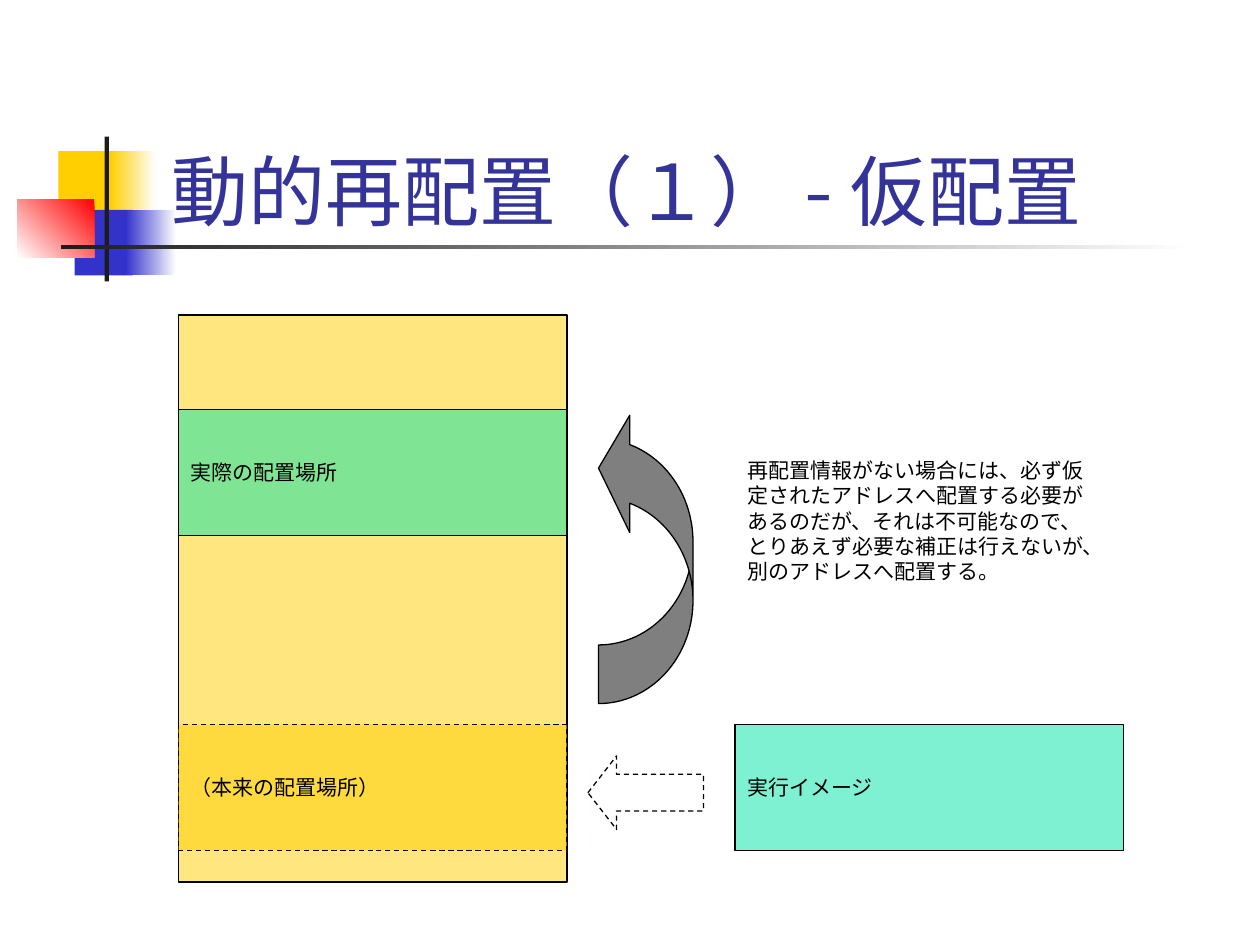
import pptx
import pptx.util
import pptx.dml.color
import pptx.enum.dml
import pptx.enum.shapes
import pptx.enum.text
import pptx.oxml
import pptx.oxml.ns

Pt = pptx.util.Pt
SHAPE = pptx.enum.shapes.MSO_SHAPE
ANCHOR = pptx.enum.text.MSO_ANCHOR
FONT = "Karla"

# Content (places are left, top, width, height in points)
TITLE = "動的再配置（１） - 仮配置"
TITLE_PLACE = (90.72, 48.24, 613.44, 90)
NOTE = ("再配置情報がない場合には、必ず仮定されたアドレスへ配置する必要があるのだが、"
        "それは不可能なので、とりあえず必要な補正は行えないが、別のアドレスへ配置する。")
NOTE_PLACE = (420, 258, 210, 79)

# Decoration: place, start colour, end colour, gradient angle
DECORATION = [
    ((33.4, 86.4, 34.6, 37.4), "FFCF01", None, None),
    ((63, 86.4, 26, 37.4), "FFFFFF", "FFCF01", 180),
    ((42.7, 120, 33.1, 37.4), "3333CC", None, None),
    ((72, 120, 28.8, 37.4), "FFFFFF", "3333CC", 180),
    ((9.8, 113.8, 44, 33.4), "FF0000", "FFFFFF", 225),
    ((59.8, 78, 2.5, 82.8), "1C1C1C", None, None),
    ((34.8, 140, 648, 2.6), "FFFFFF", "1C1C1C", 180),
]

# Memory map: text, left, top, height, colour, dashed outline
MEMORY_LEFT, IMAGE_LEFT, BLOCK_WIDTH = 102, 420, 222
BLOCKS = [
    ("", MEMORY_LEFT, 180, 324, "FFCF01", False),
    ("実際の配置場所", MEMORY_LEFT, 234, 72, "00E4A8", False),
    ("実行イメージ", IMAGE_LEFT, 414, 72, "00E4A8", False),
    ("（本来の配置場所）", MEMORY_LEFT, 414, 72, "FFCF01", True),
]


def rgb(code):
    return pptx.dml.color.RGBColor.from_string(code)


def add_plain(kind, place):
    shape = slide.shapes.add_shape(kind, *map(Pt, place))
    shape.shadow.inherit = False
    shape.fill.background()
    shape.line.fill.background()
    return shape


def fill_half(shape, color):
    """Fill with a colour at 50 % opacity."""
    shape.fill.solid()
    shape.fill.fore_color.rgb = rgb(color)
    clr = shape.fill._xPr.find(".//" + pptx.oxml.ns.qn("a:srgbClr"))
    clr.append(pptx.oxml.parse_xml(
        f'<a:alpha {pptx.oxml.ns.nsdecls("a")} val="50000"/>'))


def outline(shape, dashed=False):
    shape.line.color.rgb = rgb("000000")
    shape.line.width = Pt(0.75)
    if dashed:
        shape.line.dash_style = pptx.enum.dml.MSO_LINE.DASH


def write(shape, text, size, color, anchor):
    frame = shape.text_frame
    frame.text = text
    frame.word_wrap = True
    frame.auto_size = pptx.enum.text.MSO_AUTO_SIZE.NONE
    frame.vertical_anchor = anchor
    paragraph = frame.paragraphs[0]
    paragraph.alignment = pptx.enum.text.PP_ALIGN.LEFT
    paragraph.font.name = FONT
    paragraph.font.size = Pt(size)
    paragraph.font.color.rgb = rgb(color)


deck = pptx.Presentation()
deck.slide_width, deck.slide_height = Pt(720), Pt(540)
slide = deck.slides.add_slide(deck.slide_layouts[5])

# Decoration beside and under the title
for place, start, end, angle in DECORATION:
    bar = add_plain(SHAPE.RECTANGLE, place)
    if end is None:
        bar.fill.solid()
        bar.fill.fore_color.rgb = rgb(start)
    else:
        bar.fill.gradient()
        bar.fill.gradient_angle = angle
        for stop, color in zip(bar.fill.gradient_stops, (start, end)):
            stop.color.rgb = rgb(color)

# Title, moved in front of the decoration
title = slide.shapes.title
title.left, title.top, title.width, title.height = map(Pt, TITLE_PLACE)
write(title, TITLE, 44, "333399", ANCHOR.BOTTOM)
slide.shapes._spTree.append(title._element)

# Memory blocks and the executable image
for text, left, top, height, color, dashed in BLOCKS:
    block = add_plain(SHAPE.RECTANGLE, (left, top, BLOCK_WIDTH, height))
    fill_half(block, color)
    outline(block, dashed)
    if text:
        write(block, text, 12, "000000", ANCHOR.MIDDLE)

# Arrow from the image to its intended place
intended = add_plain(SHAPE.LEFT_ARROW, (336, 432, 66, 42))
intended.adjustments[1] = 0.39
outline(intended, dashed=True)

# Curved arrow from the intended place to the actual one
moved = add_plain(SHAPE.CURVED_RIGHT_ARROW, (342, 234, 54, 168))
moved.rotation = 180
for index, value in enumerate((0.62, 1.24, 0.33)):
    moved.adjustments[index] = value
fill_half(moved, "000000")
outline(moved)

# Explanation
note = add_plain(SHAPE.RECTANGLE, NOTE_PLACE)
fill_half(note, "FFFFFF")
write(note, NOTE, 12, "000000", ANCHOR.TOP)

deck.save("out.pptx")
